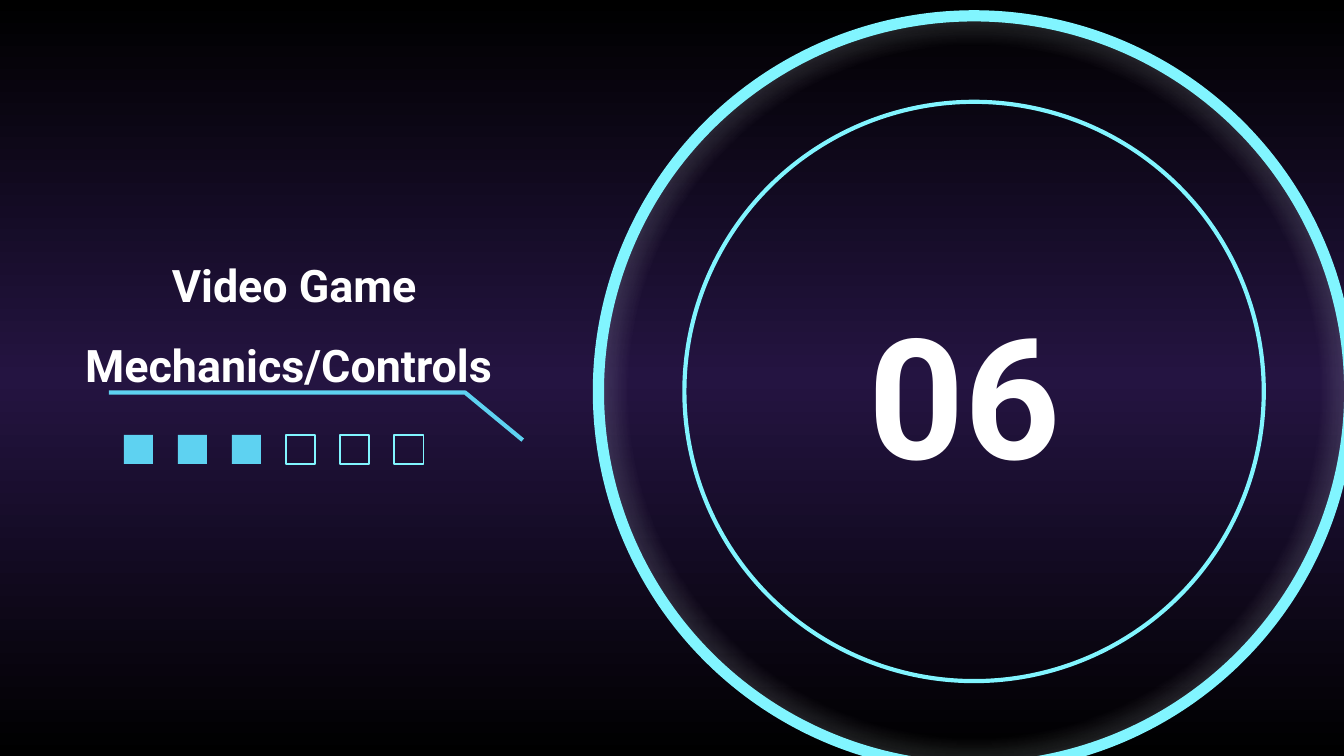
from dataclasses import dataclass

from lxml import etree
from pptx import Presentation
from pptx.dml.color import RGBColor
from pptx.enum.shapes import MSO_SHAPE
from pptx.enum.text import MSO_ANCHOR, MSO_AUTO_SIZE, PP_ALIGN
from pptx.oxml.ns import qn
from pptx.util import Cm, Pt

OVAL, SQUARE = MSO_SHAPE.OVAL, MSO_SHAPE.RECTANGLE
TOP, MIDDLE = MSO_ANCHOR.TOP, MSO_ANCHOR.MIDDLE
CENTER = PP_ALIGN.CENTER
FIXED_SIZE = MSO_AUTO_SIZE.NONE


@dataclass(frozen=True)
class Theme:
    font: str = "Roboto"
    text: str = "FFFFFF"
    night: str = "000000"
    violet: str = "241441"
    neon: str = "81F5FF"
    accent: str = "5ED2F1"
    title_size: float = 24
    number_size: float = 90
    ring_line: float = 6
    rule_line: float = 2.25
    level_line: float = 0.75


THEME = Theme()


def set_gradient(fill_parent, stops, circular=False):
    """Replace a solid fill by stops of (percent, colour, opacity percent)."""
    gradient = etree.Element(qn("a:gradFill"), rotWithShape="1")
    stop_list = etree.SubElement(gradient, qn("a:gsLst"))
    for percent, color, opacity in stops:
        stop = etree.SubElement(stop_list, qn("a:gs"), pos=str(percent * 1000))
        tint = etree.SubElement(stop, qn("a:srgbClr"), val=color)
        if opacity < 100:
            etree.SubElement(tint, qn("a:alpha"), val=str(opacity * 1000))
    if circular:
        focus = etree.SubElement(gradient, qn("a:path"), path="circle")
        etree.SubElement(focus, qn("a:fillToRect"),
                         l="50000", t="50000", r="50000", b="50000")
    else:
        etree.SubElement(gradient, qn("a:lin"), ang="5400000", scaled="0")
    solid = fill_parent.find(qn("a:solidFill"))
    fill_parent.replace(solid, gradient)


def style_shape(shape, fill=None, line=None, width=0):
    shape.shadow.inherit = False
    if fill:
        shape.fill.solid()
        shape.fill.fore_color.rgb = RGBColor.from_string(fill)
    else:
        shape.fill.background()
    if line:
        shape.line.color.rgb = RGBColor.from_string(line)
        shape.line.width = Pt(width)
    else:
        shape.line.fill.background()


def paint_background(slide):
    slide.background.fill.solid()
    set_gradient(slide.background._cSld.bg.bgPr,
                 [(0, THEME.night, 100), (50, THEME.violet, 100),
                  (100, THEME.night, 100)])


def add_rings(slide, left, top, size):
    """Glowing outer ring with a thin concentric ring inside."""
    rings = slide.shapes.add_group_shape().shapes
    outer = rings.add_shape(OVAL, Cm(left), Cm(top), Cm(size), Cm(size))
    style_shape(outer, THEME.accent, THEME.neon, THEME.ring_line)
    set_gradient(outer._element.spPr,
                 [(0, THEME.text, 0), (65, THEME.text, 0),
                  (100, THEME.accent, 100)], circular=True)

    inner_size = 10.95
    gap = (size - inner_size) / 2
    inner = rings.add_shape(OVAL, Cm(left + gap), Cm(top + gap),
                            Cm(inner_size), Cm(inner_size))
    style_shape(inner, line=THEME.neon, width=THEME.rule_line)


def place_text(slide, placeholder, box, text, size, anchor, spacing,
               after=0, indent=0):
    """Move a placeholder to the front and fill its box."""
    slide.shapes._spTree.append(placeholder._element)
    placeholder.left, placeholder.top, placeholder.width, placeholder.height = (
        Cm(length) for length in box)
    frame = placeholder.text_frame
    frame.word_wrap = True
    frame.auto_size = FIXED_SIZE
    frame.vertical_anchor = anchor
    frame.margin_left = frame.margin_right = Cm(0.25)
    frame.margin_top = frame.margin_bottom = Cm(0.25)

    paragraph = frame.paragraphs[0]
    paragraph.alignment = CENTER
    paragraph.line_spacing = spacing
    paragraph.space_before = Pt(0)
    paragraph.space_after = Pt(after)
    properties = paragraph._p.get_or_add_pPr()
    properties.set("marL", str(Cm(indent)))
    properties.set("indent", "0")

    run = paragraph.add_run()
    run.text = text
    run.font.name = THEME.font
    run.font.size = Pt(size)
    run.font.bold = True
    run.font.color.rgb = RGBColor.from_string(THEME.text)


def add_underline(slide, left, top, width, height):
    """Horizontal rule whose right end bends down."""
    bend = left + width - 1.09
    outline = slide.shapes.build_freeform(Cm(left), Cm(top))
    outline.add_line_segments(
        [(Cm(bend), Cm(top)), (Cm(left + width), Cm(top + height))], close=False)
    style_shape(outline.convert_to_shape(), line=THEME.accent,
                width=THEME.rule_line)


def add_level_bar(slide, left, top, width, size, filled=3, total=6):
    """Row of squares: the first ones filled, the others outlined."""
    squares = slide.shapes.add_group_shape().shapes
    pitch = (width - size) / (total - 1)
    for index in range(total):
        square = squares.add_shape(SQUARE, Cm(left + index * pitch), Cm(top),
                                   Cm(size), Cm(size))
        if index < filled:
            style_shape(square, fill=THEME.accent)
        else:
            style_shape(square, line=THEME.neon, width=THEME.level_line)


def build_section_slide(deck):
    slide = deck.slides.add_slide(deck.slide_layouts[0])
    title, number = slide.placeholders
    paint_background(slide)
    add_rings(slide, 11.31, 0.3, 14.2)
    place_text(slide, title, (-0.28, 4.11, 10.41, 1.68),
               "Video Game Mechanics/Controls ", THEME.title_size, TOP,
               spacing=1.5, after=8, indent=1.27)
    place_text(slide, number, (14.05, 4.11, 8.36, 6.05), "06",
               THEME.number_size, MIDDLE, spacing=1.15)
    add_underline(slide, 2.06, 7.42, 7.82, 0.9)
    add_level_bar(slide, 2.34, 8.22, 5.66, 0.55)


def main():
    deck = Presentation()
    deck.slide_width, deck.slide_height = Cm(25.4), Cm(14.29)
    build_section_slide(deck)
    deck.save("out.pptx")


if __name__ == "__main__":
    main()
